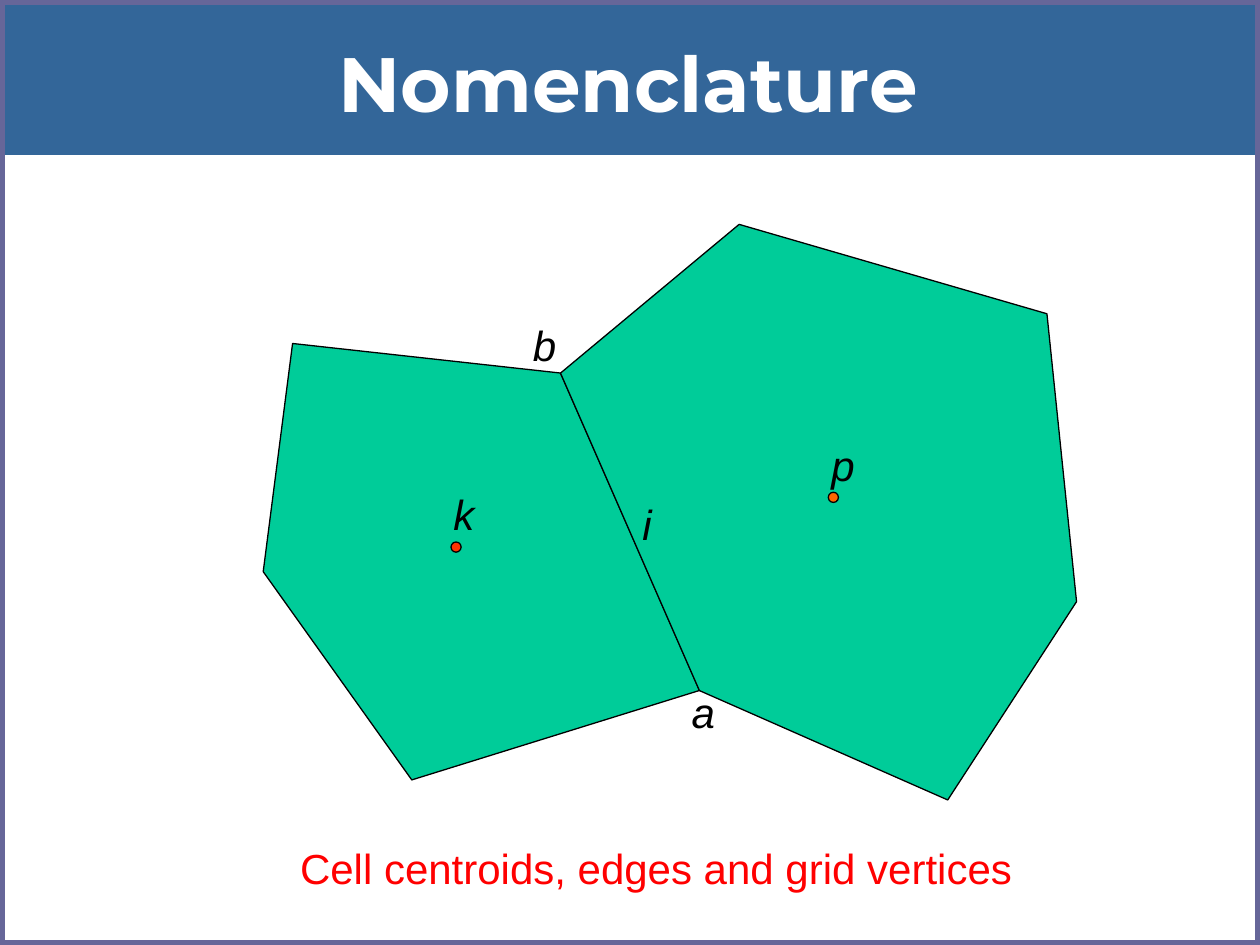
from pptx import Presentation
from pptx.dml.color import RGBColor
from pptx.enum import shapes, text
from pptx.util import Pt


def rgb(value):
    return RGBColor.from_string(value)


class Slide:
    band, border, cell, ink = "336699", "666699", "00CC99", "000000"
    label_font = dict(name="Arial", size=Pt(24), italic=True)
    caption_font = dict(name="Arial", size=Pt(24))
    title_font = dict(name="Montserrat", size=Pt(44), bold=True)

    def __init__(self, prs):
        self.s = prs.slides.add_slide(prs.slide_layouts[5])

    def paint(self, sp, fill=None, line=None, width=0.75):
        sp.shadow.inherit = False
        for part, color in ((sp.fill, fill), (sp.line.fill, line)):
            if color:
                part.solid()
                part.fore_color.rgb = rgb(color)
            else:
                part.background()
        if line:
            sp.line.width = Pt(width)

    def set_words(self, tf, words, color, style, align):
        p = tf.paragraphs[0]
        p.alignment = align
        r = p.add_run()
        r.text = words
        for name, value in style.items():
            setattr(r.font, name, value)
        r.font.color.rgb = rgb(color)

    def shape(self, kind, box, **paint):
        sp = self.s.shapes.add_shape(kind, *map(Pt, box))
        self.paint(sp, **paint)

    def title(self, words, box):
        sp = self.s.shapes.title
        for name, value in zip(("left", "top", "width", "height"), box):
            setattr(sp, name, Pt(value))
        tf = sp.text_frame
        tf.auto_size = text.MSO_AUTO_SIZE.NONE
        tf.vertical_anchor = text.MSO_ANCHOR.MIDDLE
        self.set_words(tf, words, "FFFFFF", self.title_font, text.PP_ALIGN.CENTER)
        self.s.shapes._spTree.append(sp._element)

    def polygon(self, points):
        start, *rest = [(Pt(x), Pt(y)) for x, y in points]
        builder = self.s.shapes.build_freeform(*start)
        builder.add_line_segments(rest, close=True)
        self.paint(builder.convert_to_shape(), self.cell, self.ink)

    def dot(self, x, y, color, d=5.8):
        box = (x - d / 2, y - d / 2, d, d)
        self.shape(shapes.MSO_SHAPE.OVAL, box, fill=color, line=self.ink)

    def text(self, words, box, color, style, align=text.PP_ALIGN.LEFT, wrap=True):
        tf = self.s.shapes.add_textbox(*map(Pt, box)).text_frame
        tf.word_wrap = wrap
        tf.auto_size = text.MSO_AUTO_SIZE.SHAPE_TO_FIT_TEXT
        self.set_words(tf, words, color, style, align)


def main():
    prs = Presentation()
    prs.slide_width, prs.slide_height = Pt(720), Pt(540)
    slide = Slide(prs)
    rect = shapes.MSO_SHAPE.RECTANGLE
    slide.shape(rect, (0, 0, 720, 88.5), fill=slide.band)
    slide.shape(rect, (0, 0, 720, 540), line=slide.border, width=6)
    slide.title("Nomenclature", (76.5, 21.6, 565, 50.4))

    a, b = (399.7, 394.6), (320.3, 213.2)
    slide.polygon([(150.4, 326.7), (235.3, 445.7), a, b, (167.2, 196.3)])
    slide.polygon([(422.4, 128.2), (598.3, 179.3), (615.2, 343.8),
                   (541.6, 457.1), a, b])
    slide.dot(260.6, 312.6, "FF3300")
    slide.dot(476.2, 284.2, "FF6600")

    labels = {"k": (252, 275.8), "p": (468, 247.7), "b": (297.4, 179.3),
              "a": (388.1, 388.8), "i": (360, 281.5)}
    for words, place in labels.items():
        slide.text(words, (*place, 51, 36), slide.ink, slide.label_font)
    slide.text("Cell centroids, edges and grid vertices",
               (164.2, 478.1, 421.2, 36), "FF0000", slide.caption_font,
               text.PP_ALIGN.RIGHT, wrap=False)
    prs.save("out.pptx")


if __name__ == "__main__":
    main()
